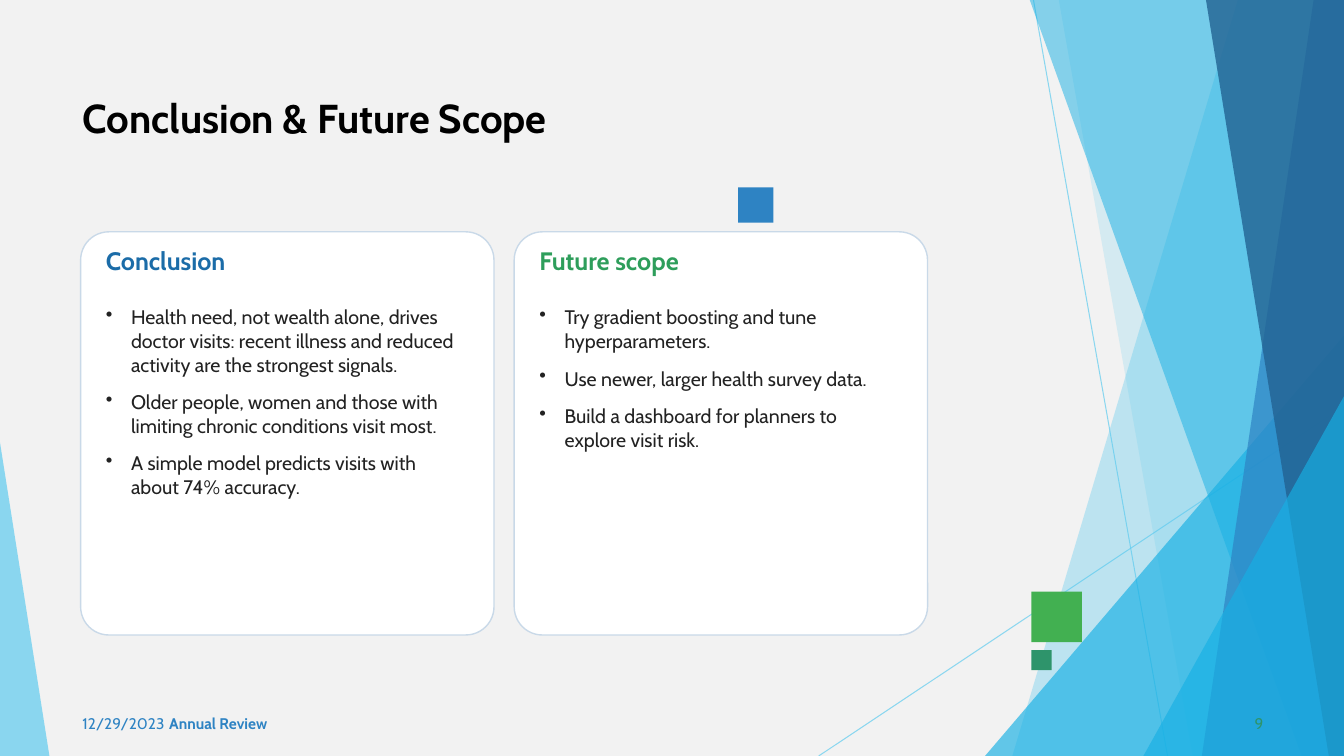
from lxml.etree import SubElement
from pptx import Presentation
from pptx.dml.color import RGBColor
from pptx.enum.shapes import MSO_CONNECTOR, MSO_SHAPE as SHAPE
from pptx.enum.text import MSO_ANCHOR as ANCHOR, MSO_AUTO_SIZE as AUTO_SIZE, PP_ALIGN as ALIGN
from pptx.oxml.ns import qn
from pptx.util import Pt

PX = 9144  # 100 px to the inch
WIDTH, HEIGHT = 1333, 750
FONT = "Cabin"
SKY, CYAN, BLUE, NAVY, TEAL = "5FCBEF", "17B0E4", "2E83C3", "226292", "2E946B"


def px(*lengths):
    return [length * PX for length in lengths]


def paint(color_format, color, opacity=100):
    """Set a fill's or line's solid colour, with opacity in percent."""
    color_format.solid()
    color_format.fore_color.rgb = RGBColor.from_string(color)
    if opacity < 100:
        solid = color_format._xPr.find(qn("a:solidFill"))
        SubElement(solid[0], qn("a:alpha"), val=str(opacity * 1000))


def finish(shape, color, opacity=100, outline=None):
    shape.shadow.inherit = False
    paint(shape.fill, color, opacity)
    if outline:
        paint(shape.line.fill, outline)
        shape.line.width = Pt(1)
    else:
        shape.line.fill.background()


def add_preset(slide, preset, box, color, opacity=100, outline=None, adjust=None):
    shape = slide.shapes.add_shape(preset, *px(*box))
    if adjust is not None:
        shape.adjustments[0] = adjust
    finish(shape, color, opacity, outline)


def add_text(slide, paragraphs, box, size, color, bold=False, align=ALIGN.LEFT,
             anchor=ANCHOR.TOP, insets=(10, 5), after=0, bullet_indent=0, grow=False):
    frame = slide.shapes.add_textbox(*px(*box)).text_frame
    frame.word_wrap = True
    frame.vertical_anchor = anchor
    frame.auto_size = AUTO_SIZE.SHAPE_TO_FIT_TEXT if grow else AUTO_SIZE.NONE
    frame.margin_left = frame.margin_right = insets[0] * PX
    frame.margin_top = frame.margin_bottom = insets[1] * PX
    for index, text in enumerate(paragraphs):
        paragraph = frame.add_paragraph() if index else frame.paragraphs[0]
        paragraph.alignment = align
        paragraph.space_after = Pt(after)
        if bullet_indent:
            properties = paragraph._p.get_or_add_pPr()
            properties.set("marL", str(bullet_indent * PX))
            properties.set("indent", str(-bullet_indent * PX))
            SubElement(properties, qn("a:buChar"), char="•")
        run = paragraph.add_run()
        run.text = text
        run.font.name, run.font.size, run.font.bold = FONT, Pt(size), bold
        run.font.color.rgb = RGBColor.from_string(color)


def add_ray(slide, start, end):
    ray = slide.shapes.add_connector(MSO_CONNECTOR.STRAIGHT, *px(*start, *end))
    ray.line.width = Pt(0.75)
    paint(ray.line.fill, SKY, 70)
    SubElement(ray._element.spPr, qn("a:effectLst"))


def add_band(slide, top_left, bottom_left, color, opacity):
    """Fill from a slanted left edge to the slide's right side."""
    builder = slide.shapes.build_freeform(top_left, -1, scale=PX)
    builder.add_line_segments([(WIDTH, -1), (WIDTH, HEIGHT), (bottom_left, HEIGHT)])
    finish(builder.convert_to_shape(), color, opacity)


def add_wedge(slide, left, top, right, apex, color, opacity):
    """Triangle standing on the slide's bottom edge; apex is 0 left to 1 right."""
    add_preset(slide, SHAPE.ISOSCELES_TRIANGLE, (left, top, right - left, HEIGHT - top),
               color, opacity, adjust=apex)


def add_facets(slide):
    add_ray(slide, (1025, 0), (1158, HEIGHT))
    add_ray(slide, (WIDTH, 403), (812, HEIGHT))
    add_band(slide, 1228, 1004, SKY, 36)
    add_band(slide, 1050, 1183, SKY, 20)
    add_wedge(slide, 977, 333, WIDTH, 1, CYAN, 66)
    add_band(slide, 1021, 1291, CYAN, 50)
    add_band(slide, 1303, 1192, BLUE, 70)
    add_band(slide, 1196, 1318, NAVY, 80)
    add_wedge(slide, 1134, 393, WIDTH, 1, CYAN, 66)
    add_wedge(slide, 0, 439, 49, 0, SKY, 70)


def add_footer(slide, top, height):
    style = dict(size=11, anchor=ANCHOR.MIDDLE)
    add_text(slide, ["12/29/2023"], (72, top, 300, height), color=BLUE, **style)
    add_text(slide, ["Annual Review"], (158, top, 450, height), color=BLUE, bold=True, **style)
    add_text(slide, ["9"], (963, top, 300, height), color=TEAL, align=ALIGN.RIGHT, **style)


def add_squares(slide):
    for left, top, side, color in [(1023, 587, 50, "42B051"), (732, 186, 35, BLUE),
                                   (1023, 645, 20, TEAL)]:
        add_preset(slide, SHAPE.RECTANGLE, (left, top, side, side), color)


def add_card(slide, box, heading, heading_color, points):
    left, top, width, height = box
    pad = 20
    inner_left, inner_width = left + pad, width - 2 * pad
    style = dict(insets=(5, 3), grow=True)
    add_preset(slide, SHAPE.ROUNDED_RECTANGLE, box, "FFFFFF", outline="C9D9E8", adjust=0.07)
    add_text(slide, [heading], (inner_left, top + 10, inner_width, 50), 18, heading_color,
             bold=True, after=4, **style)
    add_text(slide, points, (inner_left, top + 70, inner_width, height - 80), 14, "222222",
             after=10, bullet_indent=25, **style)


def build_slide(presentation):
    slide = presentation.slides.add_slide(presentation.slide_layouts[6])
    paint(slide.background.fill, "F2F2F2")
    add_facets(slide)
    add_footer(slide, 698, 40)
    add_squares(slide)
    add_text(slide, ["Conclusion & Future Scope"], (72, 88, 840, 91), 28.8, "000000", bold=True)

    cards = [
        ("Conclusion", "1B6CA8", [
            "Health need, not wealth alone, drives doctor visits: recent illness and "
            "reduced activity are the strongest signals.",
            "Older people, women and those with limiting chronic conditions visit most.",
            "A simple model predicts visits with about 74% accuracy."]),
        ("Future scope", "2E9E5B", [
            "Try gradient boosting and tune hyperparameters.",
            "Use newer, larger health survey data.",
            "Build a dashboard for planners to explore visit risk."]),
    ]
    card_width, gap = 410, 20
    for column, card in enumerate(cards):
        add_card(slide, (80 + column * (card_width + gap), 230, card_width, 400), *card)


def main():
    presentation = Presentation()
    presentation.slide_width, presentation.slide_height = px(WIDTH, HEIGHT)
    build_slide(presentation)
    presentation.save("out.pptx")


if __name__ == "__main__":
    main()
